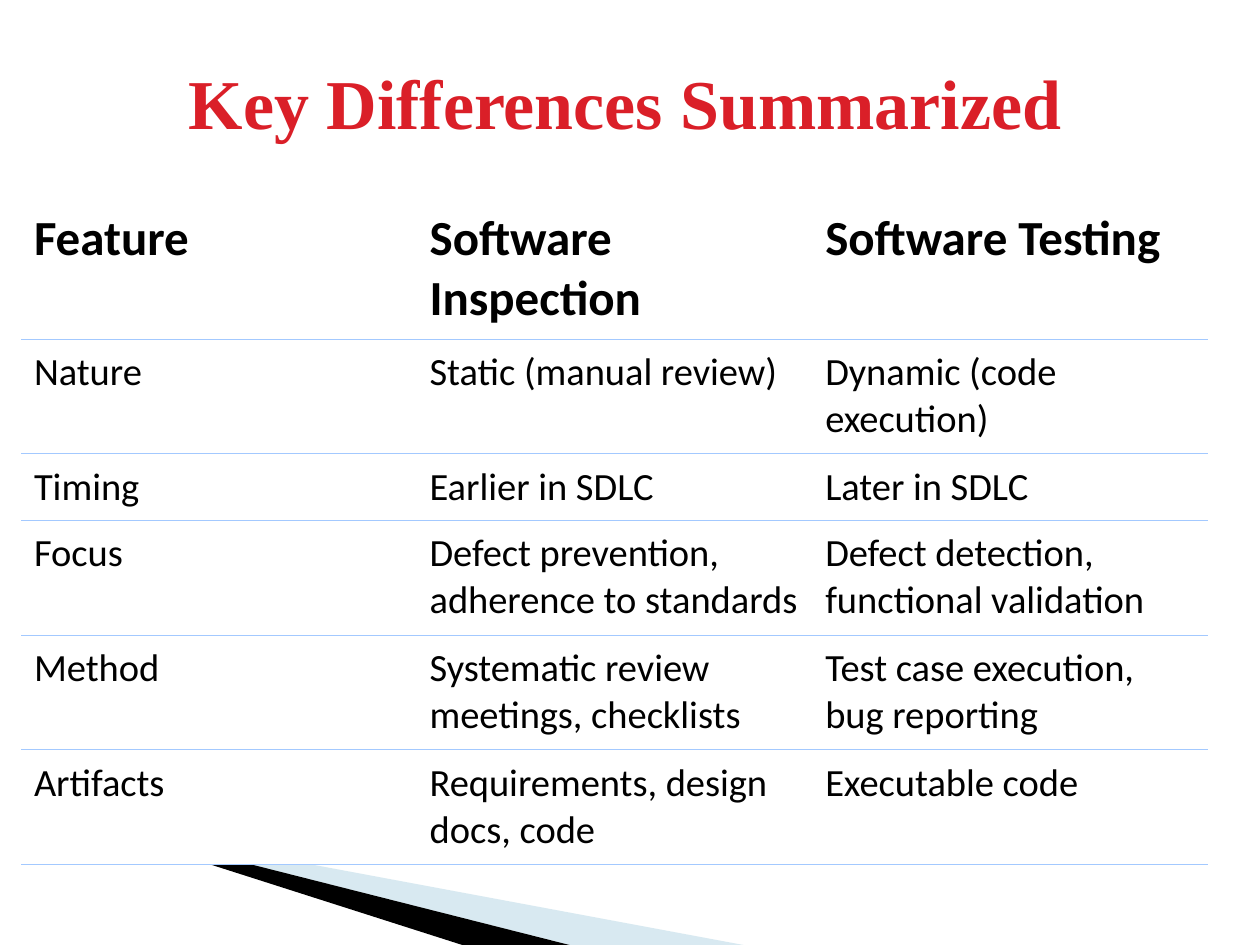
from dataclasses import dataclass

from lxml import etree
from pptx import Presentation
from pptx.dml.color import RGBColor as RGB
from pptx.oxml.ns import qn
from pptx.util import Inches, Pt


@dataclass(frozen=True)
class Theme:
    title: RGB = RGB(0xDA, 0x1F, 0x28)
    ink: RGB = RGB(0, 0, 0)
    paper: RGB = RGB(0xFF, 0xFF, 0xFF)
    swoosh: RGB = RGB(0x9F, 0xCA, 0xDC)
    rule: RGB = RGB(0xA3, 0xC9, 0xFF)
    rule_width: float = 0.33
    title_size: int = 40
    head_size: int = 28
    body_size: int = 22
    title_font: str = "Times New Roman"
    body_font: str = "Calibri"


THEME = Theme()

ROWS = [
    ("Feature", "Software Inspection", "Software Testing"),
    ("Nature", "Static (manual review)", "Dynamic (code execution)"),
    ("Timing", "Earlier in SDLC", "Later in SDLC"),
    ("Focus", "Defect prevention, adherence to standards",
     "Defect detection, functional validation"),
    ("Method", "Systematic review meetings, checklists",
     "Test case execution, bug reporting"),
    ("Artifacts", "Requirements, design docs, code", "Executable code"),
]
ROW_HEIGHTS = [1.08, 0.91, 0.53, 0.91, 0.91, 0.91]
COLUMN_WIDTH = 3.14


def set_attrs(obj, values):
    for name, value in values.items():
        setattr(obj, name, value)


def write(tf, text, font, size, color, bold):
    r = tf.paragraphs[0].add_run()
    r.text = text
    set_attrs(r.font, {"name": font, "size": Pt(size), "bold": bold})
    r.font.color.rgb = color


def add_wedge(slide, outlines, color, alpha=100):
    builder = None
    for start, *points in outlines:
        x, y = (Inches(v) for v in start)
        if builder is None:
            builder = slide.shapes.build_freeform(x, y)
        else:
            builder.move_to(x, y)
        builder.add_line_segments([(Inches(px), Inches(py)) for px, py in points])
    sp = builder.convert_to_shape()
    sp.shadow.inherit = False
    sp.line.fill.background()
    sp.fill.solid()
    sp.fill.fore_color.rgb = color
    if alpha < 100:
        clr = sp.fill._xPr.find(qn("a:solidFill"))[0]
        etree.SubElement(clr, qn("a:alpha"), val=str(alpha * 1000))


def add_title(slide, text):
    sp = slide.shapes.add_textbox(Inches(1.5), Inches(0.42), Inches(7.33), Inches(0.67))
    tf = sp.text_frame
    set_attrs(tf, {"word_wrap": True, "margin_left": 0, "margin_right": 0,
                   "margin_top": Inches(0.05), "margin_bottom": 0})
    write(tf, text, THEME.title_font, THEME.title_size, THEME.title, True)


def add_border(cell, side, visible):
    ln = etree.SubElement(cell._tc.get_or_add_tcPr(), qn(f"a:ln{side}"))
    if visible:
        ln.set("w", str(Pt(THEME.rule_width)))
        fill = etree.SubElement(ln, qn("a:solidFill"))
        etree.SubElement(fill, qn("a:srgbClr"), val=str(THEME.rule))
    else:
        etree.SubElement(ln, qn("a:noFill"))


def format_cell(cell, text, is_head):
    set_attrs(cell, {"margin_left": Inches(0.1), "margin_right": Inches(0.1),
                     "margin_top": Inches(0.05 if is_head else 0.08),
                     "margin_bottom": Inches(0.08)})
    for side, visible in (("L", False), ("R", False), ("T", not is_head), ("B", True)):
        add_border(cell, side, visible)
    cell.fill.solid()
    cell.fill.fore_color.rgb = THEME.paper
    size = THEME.head_size if is_head else THEME.body_size
    write(cell.text_frame, text, THEME.body_font, size, THEME.ink, is_head)


def add_comparison(slide):
    n_rows, n_cols = len(ROWS), len(ROWS[0])
    table = slide.shapes.add_table(
        n_rows, n_cols, Inches(0.17), Inches(1.61),
        Inches(COLUMN_WIDTH * n_cols), Inches(sum(ROW_HEIGHTS))).table
    set_attrs(table, {"first_row": False, "horz_banding": False})
    for column in table.columns:
        column.width = Inches(COLUMN_WIDTH)
    for i, (texts, height) in enumerate(zip(ROWS, ROW_HEIGHTS)):
        table.rows[i].height = Inches(height)
        for j, text in enumerate(texts):
            format_cell(table.cell(i, j), text, i == 0)


def main():
    prs = Presentation()
    set_attrs(prs, {"slide_width": Inches(10), "slide_height": Inches(7.5)})
    slide = prs.slides.add_slide(prs.slide_layouts[6])

    # Decorative wedges at the foot
    add_wedge(slide, [[(0.64, 6.52), (4.52, 7.5), (5.9, 7.5)],
                      [(0.55, 6.5), (0.55, 6.51), (0.64, 6.52)]], THEME.swoosh, 40)
    add_wedge(slide, [[(0.53, 6.49), (0.54, 6.5), (3.67, 7.5), (4.52, 7.5)]], THEME.ink)

    # Title and comparison table
    add_title(slide, "Key Differences Summarized")
    add_comparison(slide)

    prs.save("out.pptx")


if __name__ == "__main__":
    main()
